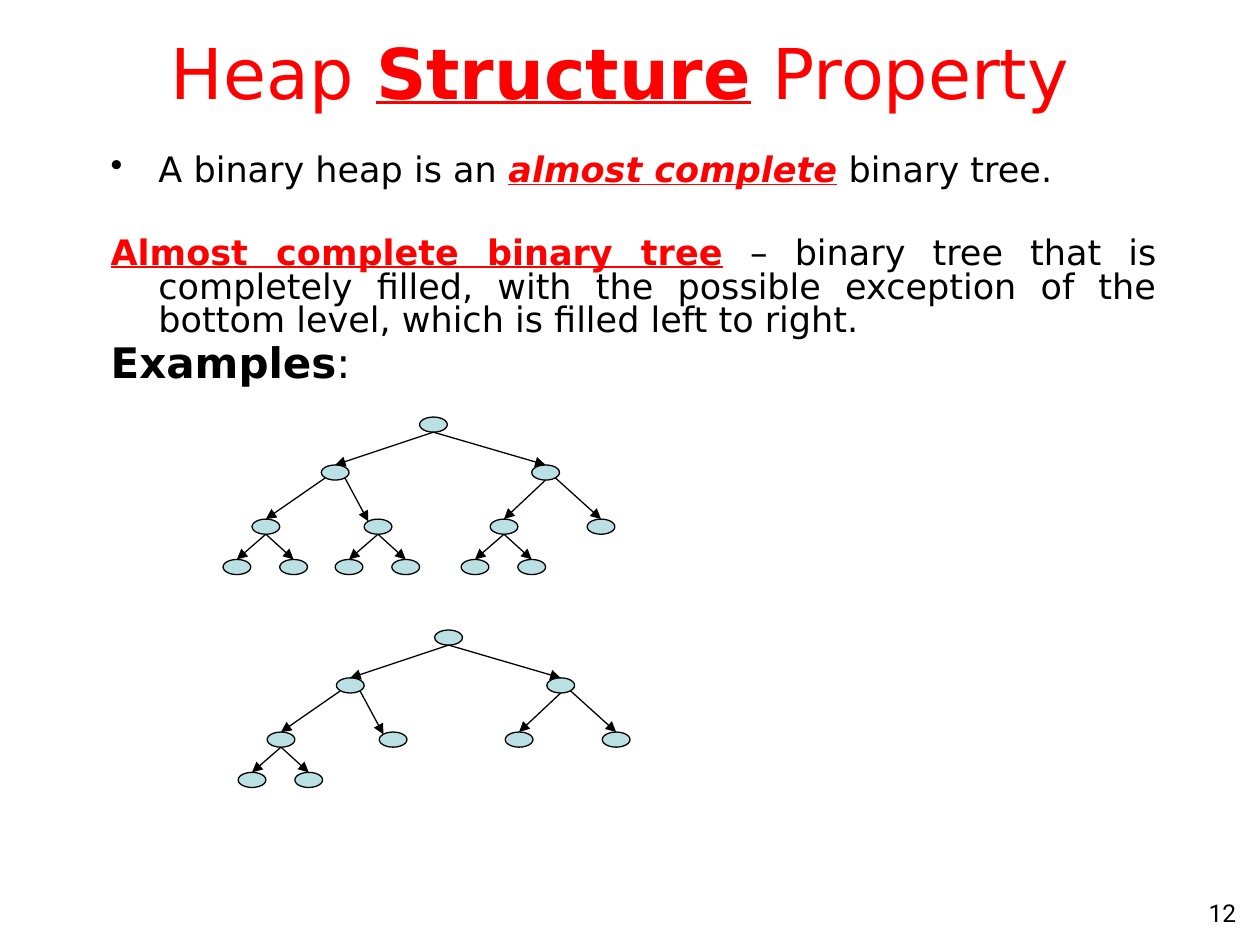
"""Build the slide on the heap structure property."""
from dataclasses import dataclass

from lxml.etree import SubElement
from pptx import Presentation
from pptx.dml.color import RGBColor
from pptx.enum.shapes import MSO_CONNECTOR, MSO_SHAPE
from pptx.enum.text import MSO_ANCHOR, PP_ALIGN
from pptx.oxml.ns import qn
from pptx.util import Inches, Pt

RED = RGBColor(0xFF, 0x00, 0x00)
BLACK = RGBColor(0x00, 0x00, 0x00)
NODE_FILL = RGBColor(0xBB, 0xE0, 0xE3)
FONT, NUMBER_FONT = "DejaVu Sans", "Roboto"

NODE_W, NODE_H = 0.22, 0.12
LEVEL_Y = (0, 0.38, 0.81, 1.13)
NODE_X = (0, -0.78, 0.89, -1.33, -0.44, 0.56, 1.33,
          -1.56, -1.11, -0.67, -0.22, 0.33, 0.78)
TOP, BOTTOM = (0.5, 0), (0.5, 1)
UPPER_LEFT, LOWER_LEFT, LOWER_RIGHT = (0.15, 0.15), (0.15, 0.85), (0.85, 0.85)
EDGE_START = {3: LOWER_LEFT, 4: LOWER_RIGHT, 6: LOWER_RIGHT}
EDGE_END = {4: UPPER_LEFT}


@dataclass
class Span:
    text: str
    size: int = 20
    color: RGBColor = BLACK
    bold: bool = False
    italic: bool = False
    underline: bool = False
    font: str = FONT


@dataclass
class Para:
    spans: list[Span]
    align: PP_ALIGN = PP_ALIGN.JUSTIFY
    space_before: float = 0
    line_spacing: float = 1
    hanging: bool = False
    bullet: bool = False


@dataclass
class Tree:
    root_x: float
    top: float
    count: int


def add_text(s, box: tuple, paras: list[Para], anchor=MSO_ANCHOR.TOP) -> None:
    """Add a wrapped text box holding the given paragraphs."""
    tf = s.shapes.add_textbox(*map(Inches, box)).text_frame
    tf.word_wrap = True
    tf.vertical_anchor = anchor
    for i, para in enumerate(paras):
        p = tf.add_paragraph() if i else tf.paragraphs[0]
        p.alignment = para.align
        p.space_before = Pt(para.space_before)
        p.line_spacing = para.line_spacing
        if para.hanging:
            pPr = p._p.get_or_add_pPr()
            pPr.set("marL", str(Inches(0.38)))
            pPr.set("indent", str(-Inches(0.38)))
            if para.bullet:
                SubElement(pPr, qn("a:buChar"), char="•")
            else:
                SubElement(pPr, qn("a:buNone"))
        for span in para.spans:
            r = p.add_run()
            r.text = span.text
            r.font.name = span.font
            r.font.size = Pt(span.size)
            r.font.color.rgb = span.color
            r.font.bold = span.bold
            r.font.italic = span.italic
            r.font.underline = span.underline


def add_node(s, center_x: float, top: float):
    """Add one tree node and return it."""
    sp = s.shapes.add_shape(MSO_SHAPE.OVAL, Inches(center_x - NODE_W / 2),
                            Inches(top), Inches(NODE_W), Inches(NODE_H))
    sp.shadow.inherit = False
    sp.fill.solid()
    sp.fill.fore_color.rgb = NODE_FILL
    sp.line.color.rgb = BLACK
    sp.line.width = Pt(0.75)
    return sp


def point_on(node, site: tuple) -> tuple[int, int]:
    """Return the point at a fractional position within a node."""
    return (int(node.left + site[0] * node.width),
            int(node.top + site[1] * node.height))


def add_edge(s, parent, child, start: tuple, end: tuple) -> None:
    """Add an arrow from a parent node to its child."""
    line = s.shapes.add_connector(MSO_CONNECTOR.STRAIGHT,
                                  *point_on(parent, start), *point_on(child, end))
    if end == TOP:
        line.end_connect(child, 0)
    line.line.color.rgb = BLACK
    line.line.width = Pt(0.75)
    SubElement(line.line._get_or_add_ln(), qn("a:tailEnd"), type="triangle")
    SubElement(line._element.spPr, qn("a:effectLst"))


def add_tree(s, tree: Tree) -> None:
    """Draw the first nodes of a heap in level order, with their edges."""
    nodes = []
    for i, dx in enumerate(NODE_X[:tree.count]):
        level = (i + 1).bit_length() - 1
        nodes.append(add_node(s, tree.root_x + dx, tree.top + LEVEL_Y[level]))
    for i in range(1, tree.count):
        add_edge(s, nodes[(i - 1) // 2], nodes[i],
                 EDGE_START.get(i, BOTTOM), EDGE_END.get(i, TOP))


def main() -> None:
    """Build and save the slide."""
    prs = Presentation()
    prs.slide_width, prs.slide_height = Inches(10), Inches(7.5)
    s = prs.slides.add_slide(prs.slide_layouts[6])
    add_text(s, (7.83, 7.08, 2.08, 0.37),
             [Para([Span("12", 14, font=NUMBER_FONT)], PP_ALIGN.RIGHT)])
    add_text(s, (0.67, 0.19, 8.5, 0.75), [Para([
        Span("Heap ", 40, RED),
        Span("Structure", 40, RED, bold=True, underline=True),
        Span(" Property", 40, RED)], PP_ALIGN.CENTER)], MSO_ANCHOR.MIDDLE)
    body = [
        Para([Span("A binary heap is an "),
              Span("almost complete", color=RED, bold=True, italic=True, underline=True),
              Span(" binary tree.")],
             line_spacing=0.8, hanging=True, bullet=True),
        Para([Span("Almost complete binary tree", color=RED, bold=True, underline=True),
              Span(" – binary tree that is completely filled, with the possible "
                   "exception of the bottom level, which is filled left to right.")],
             space_before=28, line_spacing=0.8, hanging=True),
        Para([Span("Examples", 24, bold=True), Span(":", 24)],
             space_before=4, line_spacing=0.8, hanging=True),
    ]
    add_text(s, (0.78, 1.19, 8.5, 2.23), body)
    for tree in (Tree(3.44, 3.31, 13), Tree(3.56, 5, 9)):
        add_tree(s, tree)
    prs.save("out.pptx")


if __name__ == "__main__":
    main()
